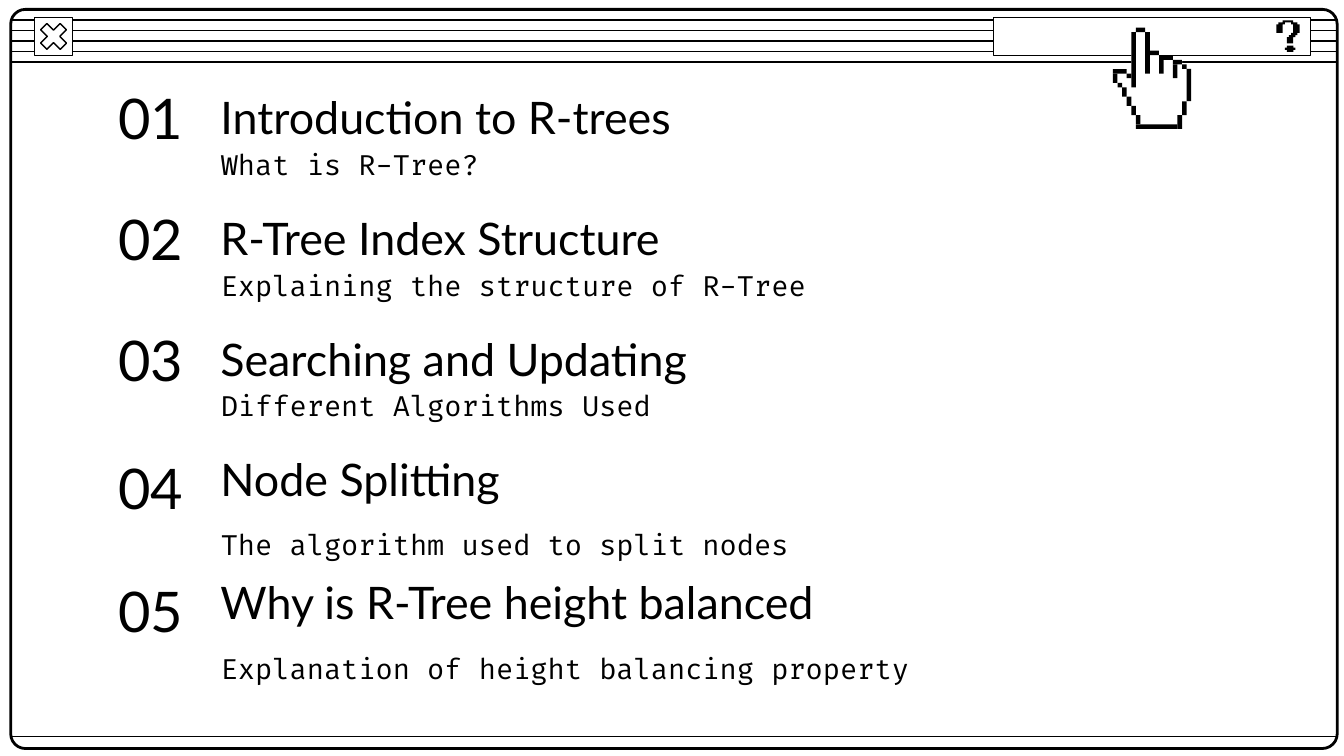
"""Build a retro window slide that lists the contents of an R-tree talk."""

from dataclasses import dataclass
from typing import NamedTuple

import lxml.etree
import pptx
import pptx.dml.color
import pptx.enum.shapes
import pptx.enum.text
import pptx.oxml.ns
import pptx.shapes.autoshape
import pptx.slide
import pptx.util

Pt = pptx.util.Pt
SHAPES = pptx.enum.shapes.MSO_SHAPE
BLACK = pptx.dml.color.RGBColor(0x00, 0x00, 0x00)
WHITE = pptx.dml.color.RGBColor(0xFF, 0xFF, 0xFF)
Outline = list[tuple[int, int]]


class Box(NamedTuple):
    left: float
    top: float
    width: float
    height: float


class PixelBar(NamedTuple):
    column: int
    row: int
    columns: int
    rows: int


@dataclass(frozen=True)
class PixelGrid:
    left: float
    top: float
    pixel: float

    def box(self, bar: PixelBar) -> Box:
        return Box(
            self.left + bar.column * self.pixel,
            self.top + bar.row * self.pixel,
            bar.columns * self.pixel,
            bar.rows * self.pixel,
        )


@dataclass(frozen=True)
class Topic:
    heading: str
    detail: str
    number_top: float
    heading_top: float
    detail_top: float


@dataclass(frozen=True)
class TextStyle:
    font: str
    size: float


FRAME = Box(5.76, 5.04, 710.64, 396)
RULE_TOPS = [10.8 + 5.6 * step for step in range(5)] + [394.56]
CLOSE_BUTTON = Box(18.6, 9.4, 20.2, 20.2)
HELP_BAR = Box(532.1, 9.4, 170, 20.2)

HELP_GRID = PixelGrid(683.8, 10.9, 1.13)
HELP_HOOK = [
    (3, 0), (3, 1), (1, 1), (1, 2), (0, 2), (0, 6), (3, 6), (3, 2),
    (4, 2), (4, 1), (7, 1), (7, 2), (8, 2), (8, 6), (7, 6), (7, 7),
    (6, 7), (6, 8), (5, 8), (5, 11), (8, 11), (8, 8), (9, 8), (9, 7),
    (10, 7), (10, 6), (11, 6), (11, 2), (10, 2), (10, 1), (8, 1), (8, 0),
]
HELP_DOT = [
    (5, 12), (5, 13), (4, 13), (4, 14), (5, 14), (5, 15),
    (8, 15), (8, 14), (9, 14), (9, 13), (8, 13), (8, 12),
]

HAND_GRID = PixelGrid(596.2, 14.76, 2.47)
HAND_PALM = [
    (5, 0), (5, 1), (4, 1), (4, 10), (3, 10), (3, 9), (0, 9), (0, 12),
    (1, 12), (1, 13), (2, 13), (2, 15), (3, 15), (3, 17), (4, 17), (4, 19),
    (5, 19), (5, 22), (15, 22), (15, 19), (16, 19), (16, 16), (17, 16), (17, 9),
    (16, 9), (16, 8), (15, 8), (15, 7), (13, 7), (13, 6), (10, 6), (10, 5),
    (8, 5), (8, 1), (7, 1), (7, 0),
]
HAND_EDGES = [
    PixelBar(4, 1, 1, 12), PixelBar(5, 0, 2, 1), PixelBar(7, 1, 1, 9),
    PixelBar(8, 5, 2, 1), PixelBar(10, 7, 1, 3), PixelBar(10, 6, 3, 1),
    PixelBar(13, 8, 1, 3), PixelBar(13, 7, 2, 1), PixelBar(15, 8, 1, 1),
    PixelBar(16, 9, 1, 7), PixelBar(15, 16, 1, 3), PixelBar(14, 19, 1, 3),
    PixelBar(5, 21, 9, 1), PixelBar(3, 10, 1, 1), PixelBar(0, 9, 3, 1),
    PixelBar(0, 10, 1, 2), PixelBar(1, 12, 1, 1), PixelBar(2, 13, 1, 2),
    PixelBar(3, 15, 1, 2), PixelBar(4, 17, 1, 2), PixelBar(5, 19, 1, 2),
]

NUMBER_STYLE = TextStyle("Lato", 30)
HEADING_STYLE = TextStyle("Lato", 24)
DETAIL_STYLE = TextStyle("Fira Code", 15)
TOPICS = [
    Topic("Introduction to R-trees", "What is R-Tree?", 50.4, 50.4, 79.9),
    Topic("R-Tree Index Structure", "Explaining the structure of R-Tree", 115.2, 115.2, 144.7),
    Topic("Searching and Updating", "Different Algorithms Used", 180, 180, 209.5),
    Topic("Node Splitting", "The algorithm used to split nodes", 248.8, 244.4, 283.7),
    Topic("Why is R-Tree height balanced", "Explanation of height balancing property",
          314.6, 310.3, 349.9),
]


def paint(
    shape: pptx.shapes.autoshape.Shape,
    fill: pptx.dml.color.RGBColor | None,
    border: float = 0,
) -> None:
    shape.shadow.inherit = False
    if fill is None:
        shape.fill.background()
    else:
        shape.fill.solid()
        shape.fill.fore_color.rgb = fill
    if border:
        shape.line.color.rgb = BLACK
        shape.line.width = Pt(border)
    else:
        shape.line.fill.background()


def draw_preset(
    slide: pptx.slide.Slide,
    kind: pptx.enum.shapes.MSO_SHAPE,
    box: Box,
    fill: pptx.dml.color.RGBColor | None,
    border: float = 0,
    adjustment: float | None = None,
) -> None:
    preset = slide.shapes.add_shape(kind, *map(Pt, box))
    if adjustment is not None:
        preset.adjustments[0] = adjustment
    paint(preset, fill, border)


def draw_rule(slide: pptx.slide.Slide, top: float) -> None:
    rule = slide.shapes.add_connector(
        pptx.enum.shapes.MSO_CONNECTOR.STRAIGHT,
        Pt(FRAME.left), Pt(top), Pt(FRAME.left + FRAME.width), Pt(top),
    )
    rule.line.color.rgb = BLACK
    rule.line.width = Pt(0.75)
    lxml.etree.SubElement(rule._element.spPr, pptx.oxml.ns.qn("a:effectLst"))


def draw_outline(
    slide: pptx.slide.Slide, grid: PixelGrid, outline: Outline, fill: pptx.dml.color.RGBColor
) -> None:
    builder = slide.shapes.build_freeform(*outline[0], scale=Pt(grid.pixel))
    builder.add_line_segments(outline[1:], close=True)
    paint(builder.convert_to_shape(Pt(grid.left), Pt(grid.top)), fill)


def write(slide: pptx.slide.Slide, text: str, box: Box, style: TextStyle) -> None:
    frame = slide.shapes.add_textbox(*map(Pt, box)).text_frame
    frame.word_wrap = True
    frame.vertical_anchor = pptx.enum.text.MSO_ANCHOR.MIDDLE
    frame.margin_left = frame.margin_right = frame.margin_top = frame.margin_bottom = Pt(7.2)
    frame.text = text
    font = frame.paragraphs[0].runs[0].font
    font.name = style.font
    font.size = Pt(style.size)
    font.color.rgb = BLACK


def draw_window(slide: pptx.slide.Slide) -> None:
    for top in RULE_TOPS:
        draw_rule(slide, top)
    draw_preset(slide, SHAPES.ROUNDED_RECTANGLE, FRAME, None, 1.5, 0.02)
    draw_preset(slide, SHAPES.RECTANGLE, CLOSE_BUTTON, WHITE, 0.75)
    draw_preset(slide, SHAPES.MATH_MULTIPLY, CLOSE_BUTTON, WHITE, 0.75, 0.235)
    draw_preset(slide, SHAPES.RECTANGLE, HELP_BAR, WHITE, 0.75)
    for outline in (HELP_DOT, HELP_HOOK):
        draw_outline(slide, HELP_GRID, outline, BLACK)


def draw_hand(slide: pptx.slide.Slide) -> None:
    draw_outline(slide, HAND_GRID, HAND_PALM, WHITE)
    for edge in HAND_EDGES:
        draw_preset(slide, SHAPES.RECTANGLE, HAND_GRID.box(edge), BLACK)


def write_topic(slide: pptx.slide.Slide, number: int, topic: Topic) -> None:
    write(slide, topic.heading, Box(111, topic.heading_top, 390, 24.5), HEADING_STYLE)
    write(slide, f"{number:02}", Box(56.4, topic.number_top, 54.7, 24.5), NUMBER_STYLE)
    write(slide, topic.detail, Box(111.2, topic.detail_top, 444, 15.8), DETAIL_STYLE)


def main() -> None:
    deck = pptx.Presentation()
    deck.slide_width, deck.slide_height = Pt(720), Pt(405)
    contents = deck.slides.add_slide(deck.slide_layouts[6])
    draw_window(contents)
    for number, topic in enumerate(TOPICS, start=1):
        write_topic(contents, number, topic)
    draw_hand(contents)
    deck.save("out.pptx")


if __name__ == "__main__":
    main()
